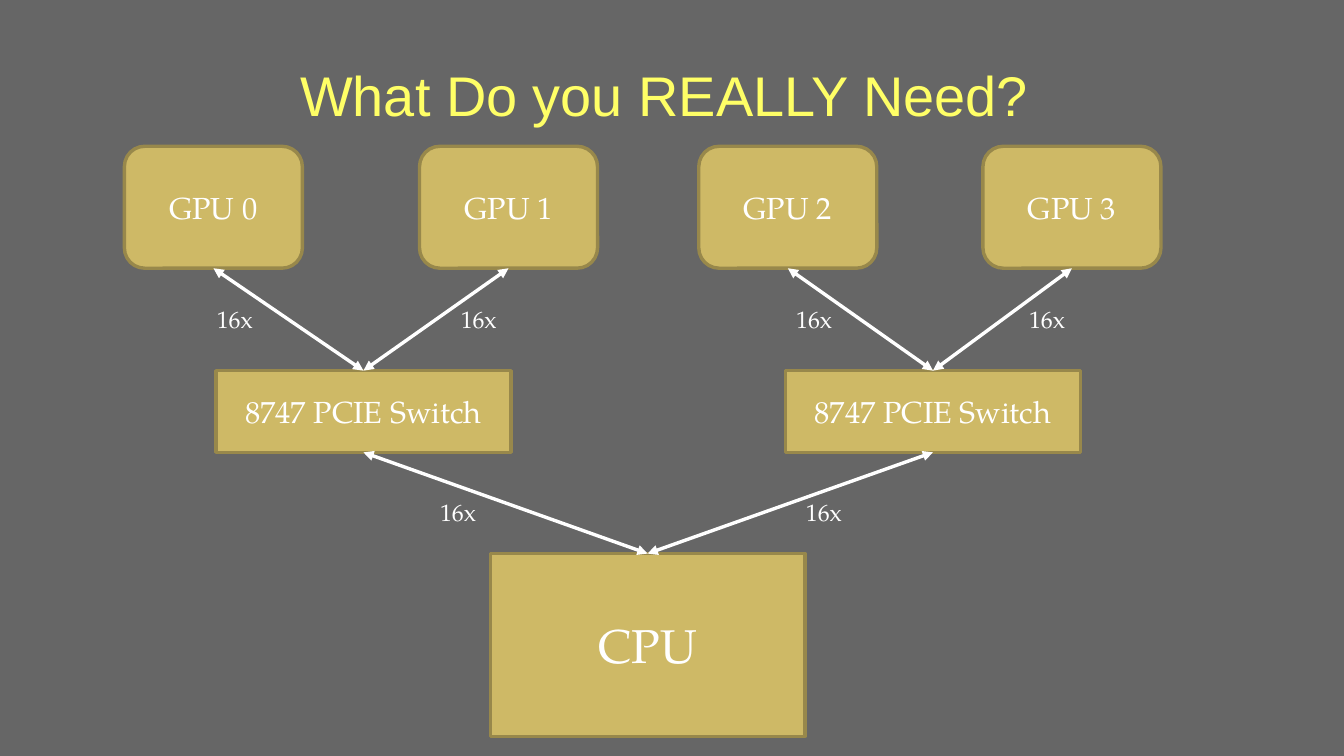
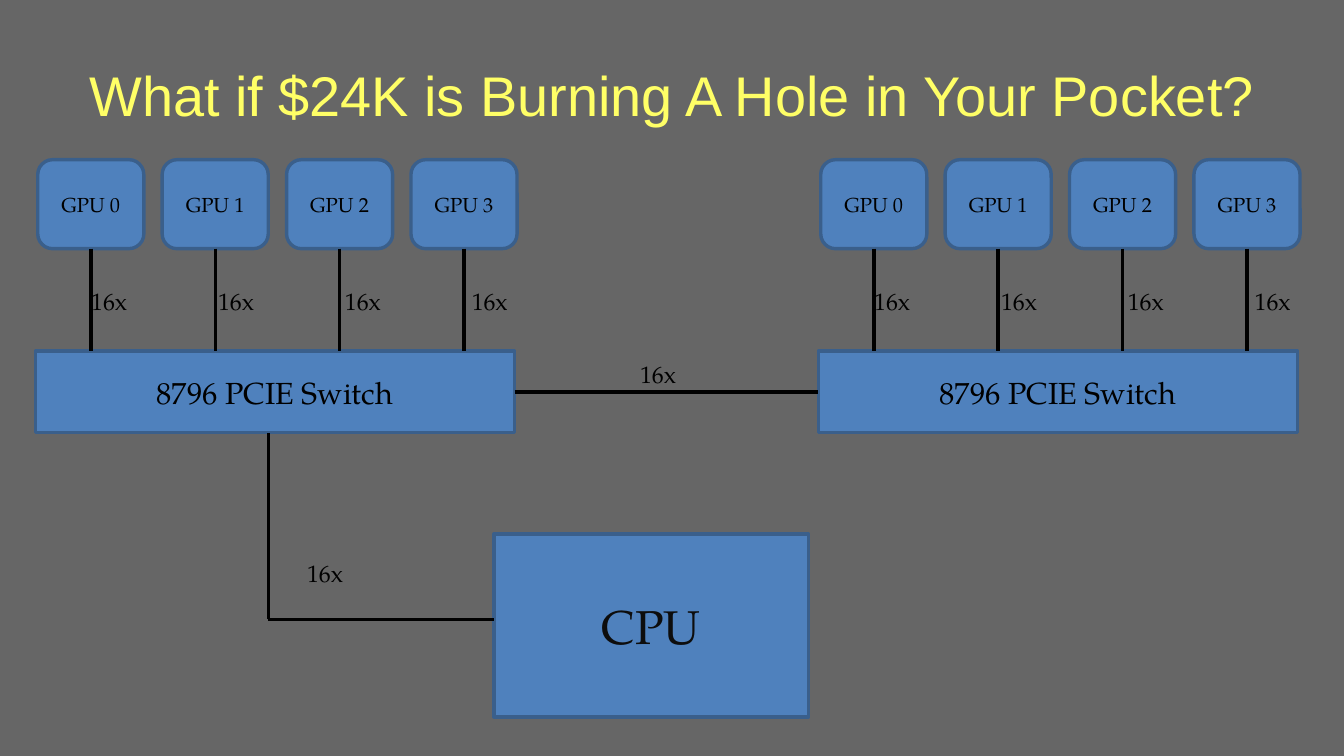
from collections import namedtuple

from lxml.etree import SubElement
from pptx import Presentation
from pptx.dml.color import RGBColor
from pptx.enum.shapes import MSO_CONNECTOR, MSO_SHAPE
from pptx.enum.text import MSO_ANCHOR, PP_ALIGN
from pptx.oxml.ns import qn
from pptx.util import Inches, Pt

COLORS = {
    "background": "666666",
    "title": "FFFF66",
    "gold": "CEB966",
    "gold_edge": "98884B",
    "blue": "4F81BD",
    "blue_edge": "3A5F8B",
    "white": "FFFFFF",
    "black": "000000",
    "near_black": "0D0D0D",
}
TITLE_FONT = "Arial"
BODY_FONT = "TeX Gyre Pagella"
TOP, LEFT, BOTTOM, RIGHT = range(4)

# ink colours text and links; arrows gives links a head at both ends
Style = namedtuple("Style", "fill edge ink cpu_ink arrows")
GOLD = Style("gold", "gold_edge", "white", "white", True)
BLUE = Style("blue", "blue_edge", "black", "near_black", False)


def rgb(name):
    return RGBColor.from_string(COLORS[name])


def write(tf, text, size, color, font=BODY_FONT, align=PP_ALIGN.CENTER):
    tf.word_wrap = True
    p = tf.paragraphs[0]
    p.text = text
    p.alignment = align
    p.font.name = font
    p.font.size = Pt(size)
    p.font.color.rgb = rgb(color)


def add_slide(prs, title):
    s = prs.slides.add_slide(prs.slide_layouts[6])
    tf = s.shapes.add_textbox(
        Inches(0.55), Inches(0.25), Inches(9.92), Inches(1.04)).text_frame
    tf.margin_left = tf.margin_right = tf.margin_top = tf.margin_bottom = 0
    tf.vertical_anchor = MSO_ANCHOR.MIDDLE
    write(tf, title, 33, "title", TITLE_FONT)
    return s


def add_box(s, style, text, size, x, y, w, h, kind=MSO_SHAPE.RECTANGLE, ink=None):
    sp = s.shapes.add_shape(kind, Inches(x), Inches(y), Inches(w), Inches(h))
    sp.shadow.inherit = False
    sp.fill.solid()
    sp.fill.fore_color.rgb = rgb(style.fill)
    sp.line.color.rgb = rgb(style.edge)
    sp.line.width = Pt(2)
    sp.text_frame.vertical_anchor = MSO_ANCHOR.MIDDLE
    write(sp.text_frame, text, size, ink or style.ink)
    return sp


def add_gpu(s, style, number, size, x, y, w, h):
    return add_box(s, style, f"GPU {number}", size, x, y, w, h,
                   MSO_SHAPE.ROUNDED_RECTANGLE)


def add_cpu(s, style, x, y):
    return add_box(s, style, "CPU", 28, x, y, 2.58, 1.5, ink=style.cpu_ink)


def add_label(s, style, x, y):
    box = s.shapes.add_textbox(Inches(x), Inches(y), Inches(0.56), Inches(0.33))
    write(box.text_frame, "16x", 14, style.ink, align=PP_ALIGN.LEFT)


def add_line(s, style, x1=0, y1=0, x2=0, y2=0):
    """Draw a line between two points given as lengths."""
    line = s.shapes.add_connector(MSO_CONNECTOR.STRAIGHT, x1, y1, x2, y2)
    line.line.color.rgb = rgb(style.ink)
    line.line.width = Pt(2)
    if style.arrows:
        ln = line.line._get_or_add_ln()
        for end in ("a:headEnd", "a:tailEnd"):
            SubElement(ln, qn(end), type="triangle")
    SubElement(line._element.spPr, qn("a:effectLst"))
    return line


def link(s, style, start, start_side, end, end_side):
    line = add_line(s, style)
    line.begin_connect(start, start_side)
    line.end_connect(end, end_side)


def need_slide(prs):
    s = add_slide(prs, "What Do you REALLY Need? ")
    cpu = add_cpu(s, GOLD, 4.02, 4.54)
    switches = [add_box(s, GOLD, "8747 PCIE Switch", 18, x, 3.04, 2.42, 0.67)
                for x in (1.77, 6.44)]
    for i, x in enumerate((1.02, 3.44, 5.73, 8.06)):
        gpu = add_gpu(s, GOLD, i, 18, x, 1.2, 1.46, 1)
        link(s, GOLD, gpu, BOTTOM, switches[i // 2], TOP)
    for switch in switches:
        link(s, GOLD, switch, BOTTOM, cpu, TOP)
    for x in (1.68, 3.68, 6.43, 8.34):
        add_label(s, GOLD, x, 2.45)
    for x in (3.51, 6.51):
        add_label(s, GOLD, x, 4.03)


def add_bank(s, x):
    """Draw a switch with four GPUs above it, and return the switch."""
    top = 2.88
    switch = add_box(s, BLUE, "8796 PCIE Switch", 18, x, top, 3.93, 0.67)
    for i in range(4):
        gpu = add_gpu(s, BLUE, i, 12, x + 0.02 + 1.02 * i, 1.31, 0.87, 0.73)
        middle = gpu.left + gpu.width // 2
        line = add_line(s, BLUE, middle, gpu.top + gpu.height, middle, Inches(top))
        line.begin_connect(gpu, BOTTOM)
        add_label(s, BLUE, x + 0.36 + 1.04 * i, 2.3)
    return switch


def pocket_slide(prs):
    s = add_slide(prs, "What if $24K is Burning A Hole in Your Pocket?")
    cpu = add_cpu(s, BLUE, 4.05, 4.38)
    left, right = (add_bank(s, x) for x in (0.29, 6.71))
    link(s, BLUE, left, RIGHT, right, LEFT)
    add_label(s, BLUE, 5.15, 2.9)
    corner = Inches(2.2), Inches(5.08)
    add_line(s, BLUE, corner[0], left.top + left.height, *corner)
    add_line(s, BLUE, *corner, cpu.left, corner[1])
    add_label(s, BLUE, 2.42, 4.53)


def main():
    prs = Presentation()
    prs.slide_width, prs.slide_height = Inches(11.02), Inches(6.2)
    fill = prs.slide_master.background.fill
    fill.solid()
    fill.fore_color.rgb = rgb("background")
    need_slide(prs)
    pocket_slide(prs)
    prs.save("out.pptx")


if __name__ == "__main__":
    main()
